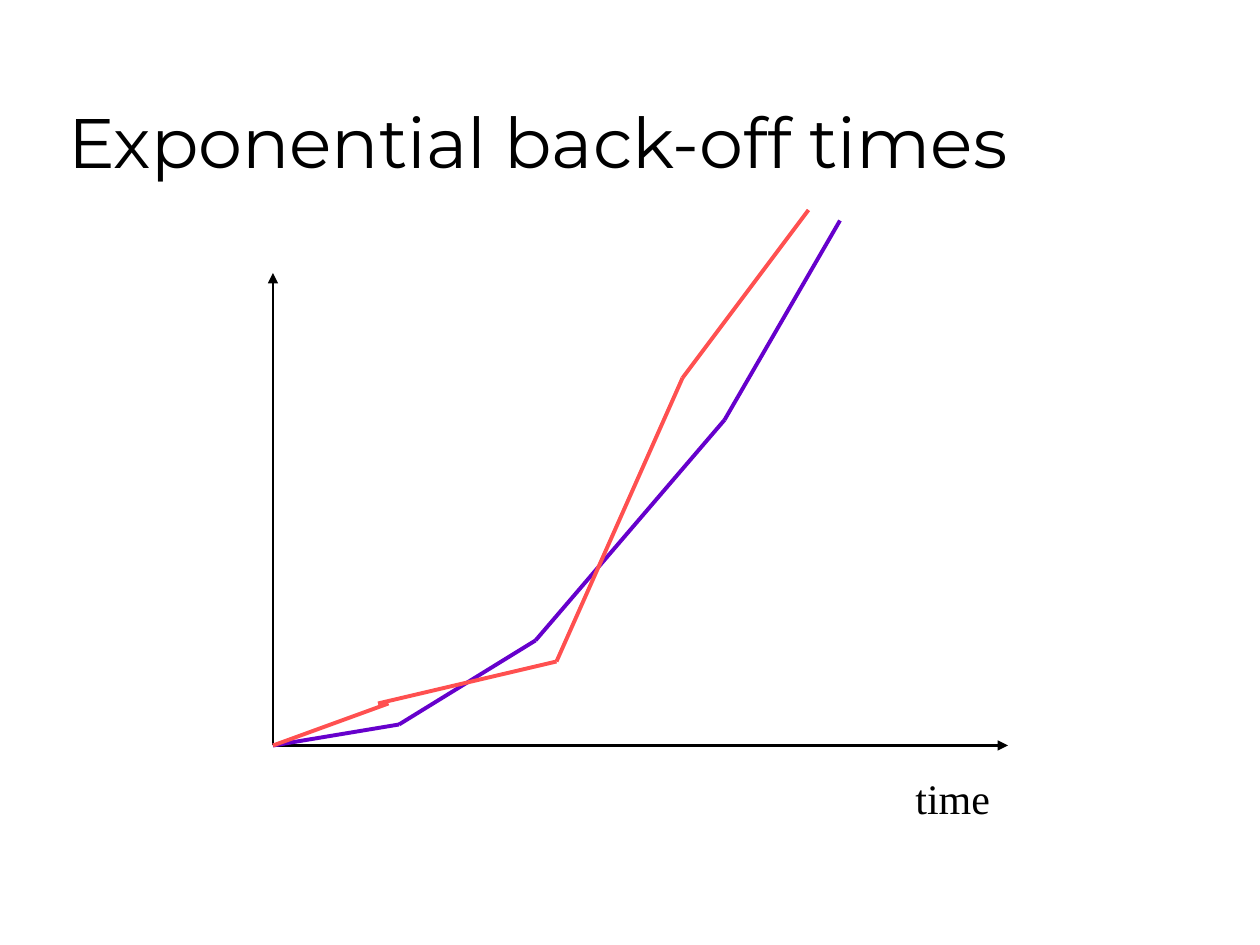
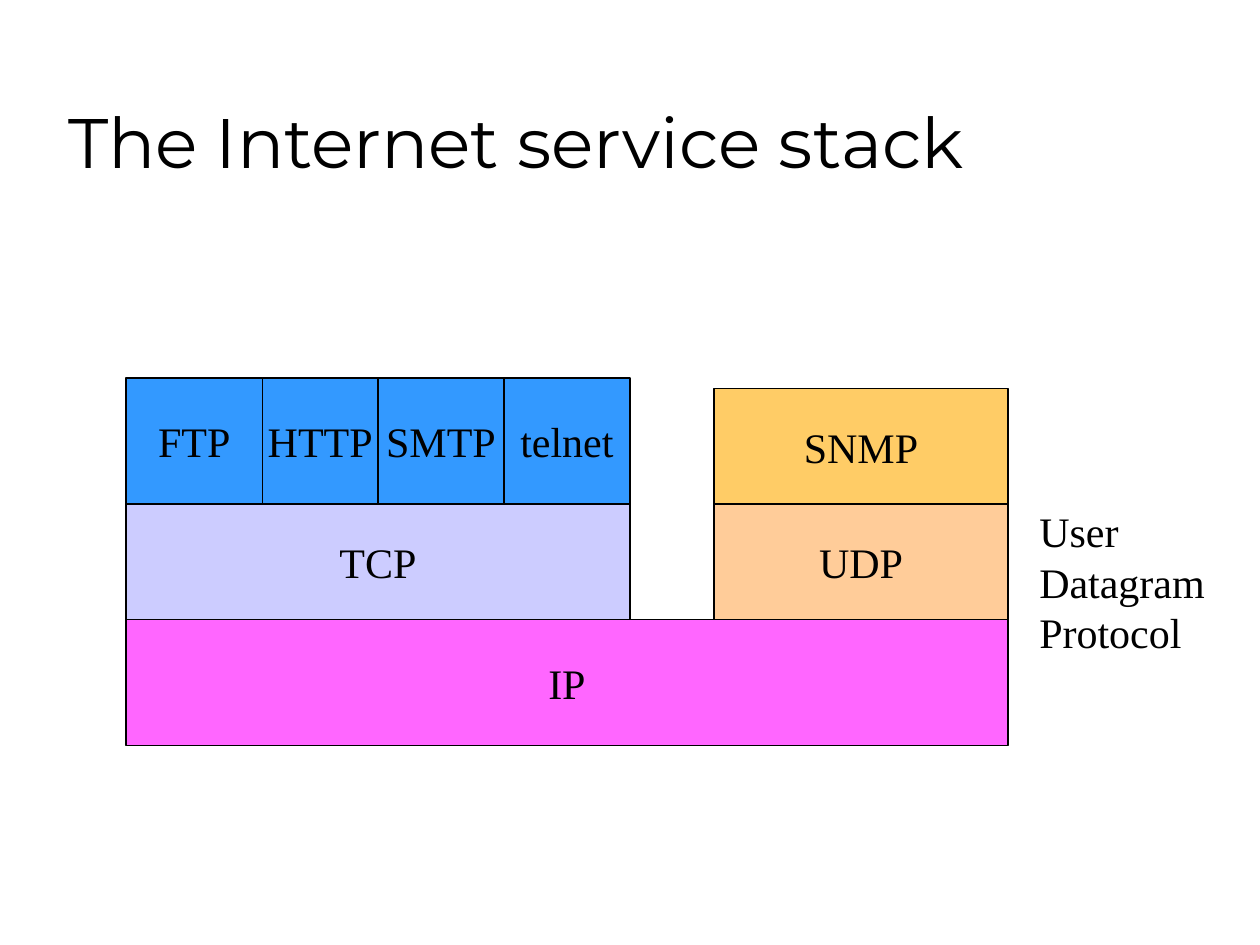
from dataclasses import dataclass
from itertools import pairwise

from lxml import etree
from pptx import Presentation
from pptx.dml.color import RGBColor
from pptx.enum.shapes import MSO_CONNECTOR, MSO_SHAPE
from pptx.enum.text import MSO_ANCHOR, MSO_AUTO_SIZE, PP_ALIGN
from pptx.oxml.ns import qn
from pptx.util import Inches, Pt


@dataclass(frozen=True)
class Theme:
    ink: str = "000000"
    paper: str = "FFFFFF"
    violet: str = "6600CC"
    coral: str = "FF5050"
    application: str = "3399FF"
    tcp: str = "CCCCFF"
    snmp: str = "FFCC66"
    udp: str = "FFCC99"
    ip: str = "FF66FF"
    title_font: str = "Montserrat"
    body_font: str = "Times New Roman"
    title_size: float = 40
    body_size: float = 24
    body_leading: float = 28.8
    axis_width: float = 1.5
    curve_width: float = 2.25
    border_width: float = 0.75


THEME = Theme()
COLUMNS, ROWS = 120, 90
CELL = Inches(10) // COLUMNS

TITLE_PLACE = (5.3, 3, 102, 15)

BACKOFF_TITLE = "Exponential back-off times"
ORIGIN = (26, 71)
AXIS_ENDS = [(96, 71), (26, 26)]
TIME_LABEL = (["time"], (86, 73, 10, 6))
BACKOFF_CURVES = [
    (THEME.violet, [ORIGIN, (38, 69), (51, 61), (69, 40), (80, 21)]),
    (THEME.coral, [ORIGIN, (37, 67)]),
    (THEME.coral, [(36, 67), (53, 63), (65, 36), (77, 20)]),
]

STACK_TITLE = "The Internet service stack"
TRANSPORTS = [
    ("IP", THEME.ip, (12, 59, 84, 12)),
    ("UDP", THEME.udp, (68, 48, 28, 11)),
    ("SNMP", THEME.snmp, (68, 37, 28, 11)),
    ("TCP", THEME.tcp, (12, 48, 48, 11)),
]
APPLICATIONS = [("FTP", 13), ("HTTP", 11), ("SMTP", 12), ("telnet", 12)]
APPLICATIONS_LEFT, APPLICATIONS_TOP, APPLICATIONS_HEIGHT = 12, 36, 12
UDP_MEANING = (["User", "Datagram", "Protocol"], (97.8, 47.6, 19, 15.6))


def color(code):
    return RGBColor.from_string(code)


def grid(*cells):
    return [round(cell * CELL) for cell in cells]


def write(frame, lines, font_name, size, align=PP_ALIGN.LEFT, leading=None):
    frame.text = "\n".join(lines)
    for paragraph in frame.paragraphs:
        paragraph.alignment = align
        if leading:
            paragraph.line_spacing = Pt(leading)
        for run in paragraph.runs:
            run.font.name = font_name
            run.font.size = Pt(size)
            run.font.color.rgb = color(THEME.ink)


def write_body(frame, lines, align=PP_ALIGN.LEFT, wrap=False):
    frame.word_wrap = wrap
    write(frame, lines, THEME.body_font, THEME.body_size, align, THEME.body_leading)


def add_titled_slide(deck, title):
    slide = deck.slides.add_slide(deck.slide_layouts[6])
    slide.background.fill.solid()
    slide.background.fill.fore_color.rgb = color(THEME.paper)
    frame = slide.shapes.add_textbox(*grid(*TITLE_PLACE)).text_frame
    frame.word_wrap = True
    frame.vertical_anchor = MSO_ANCHOR.BOTTOM
    write(frame, [title], THEME.title_font, THEME.title_size)
    return slide


def add_label(slide, lines, place):
    frame = slide.shapes.add_textbox(*grid(*place)).text_frame
    write_body(frame, lines, wrap=True)
    frame.auto_size = MSO_AUTO_SIZE.SHAPE_TO_FIT_TEXT


def add_segment(slide, start, end, stroke, width, arrow=False):
    segment = slide.shapes.add_connector(MSO_CONNECTOR.STRAIGHT, *grid(*start, *end))
    segment.line.color.rgb = color(stroke)
    segment.line.width = Pt(width)
    properties = segment._element.spPr
    if arrow:
        etree.SubElement(properties.find(qn("a:ln")), qn("a:tailEnd"), type="triangle")
    etree.SubElement(properties, qn("a:effectLst"))


def add_layer(slide, protocol, fill, place):
    layer = slide.shapes.add_shape(MSO_SHAPE.RECTANGLE, *grid(*place))
    layer.shadow.inherit = False
    layer.fill.solid()
    layer.fill.fore_color.rgb = color(fill)
    layer.line.color.rgb = color(THEME.ink)
    layer.line.width = Pt(THEME.border_width)
    layer.text_frame.vertical_anchor = MSO_ANCHOR.MIDDLE
    write_body(layer.text_frame, [protocol], PP_ALIGN.CENTER)


def build_backoff(deck):
    slide = add_titled_slide(deck, BACKOFF_TITLE)
    for axis_end in AXIS_ENDS:
        add_segment(slide, ORIGIN, axis_end, THEME.ink, THEME.axis_width, arrow=True)
    add_label(slide, *TIME_LABEL)
    for stroke, points in BACKOFF_CURVES:
        for start, end in pairwise(points):
            add_segment(slide, start, end, stroke, THEME.curve_width)


def build_stack(deck):
    slide = add_titled_slide(deck, STACK_TITLE)
    for protocol, fill, place in TRANSPORTS:
        add_layer(slide, protocol, fill, place)
    add_label(slide, *UDP_MEANING)
    left = APPLICATIONS_LEFT
    for protocol, width in APPLICATIONS:
        place = (left, APPLICATIONS_TOP, width, APPLICATIONS_HEIGHT)
        add_layer(slide, protocol, THEME.application, place)
        left += width


def main():
    deck = Presentation()
    deck.slide_width, deck.slide_height = grid(COLUMNS, ROWS)
    build_backoff(deck)
    build_stack(deck)
    deck.save("out.pptx")


if __name__ == "__main__":
    main()
